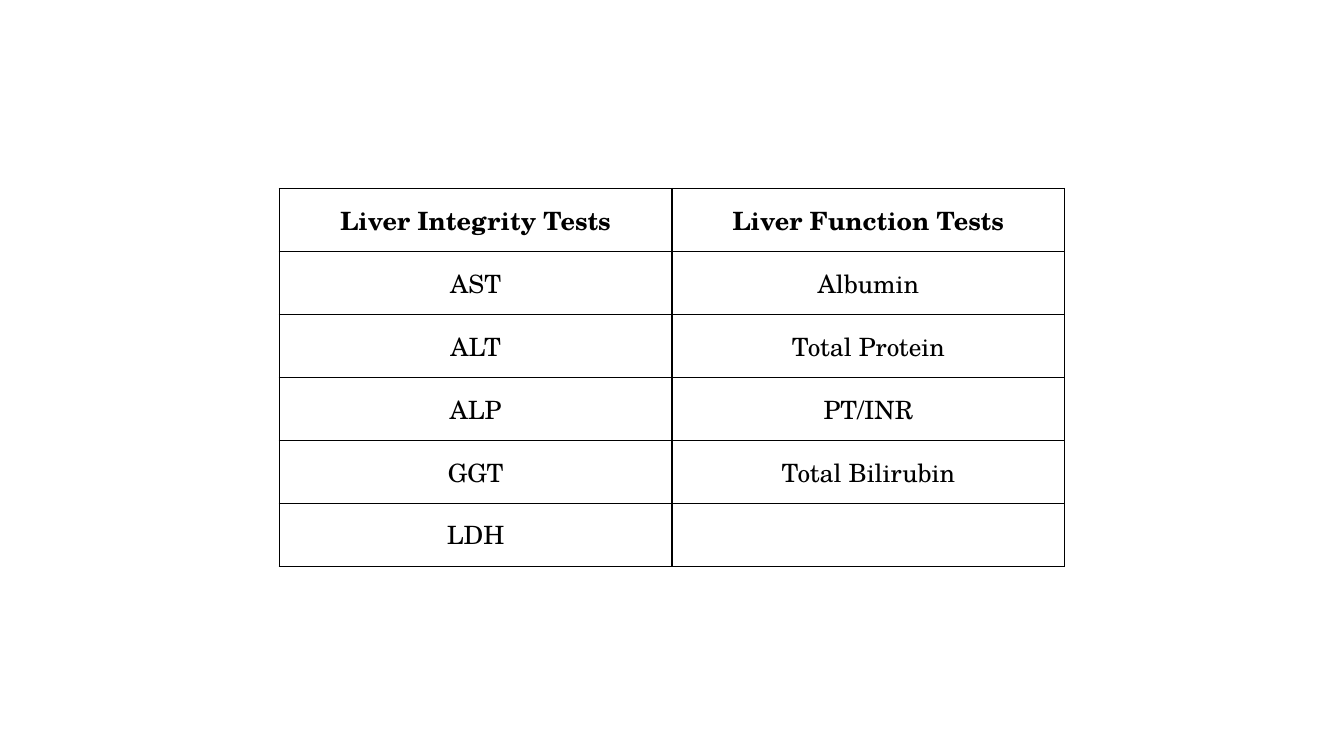
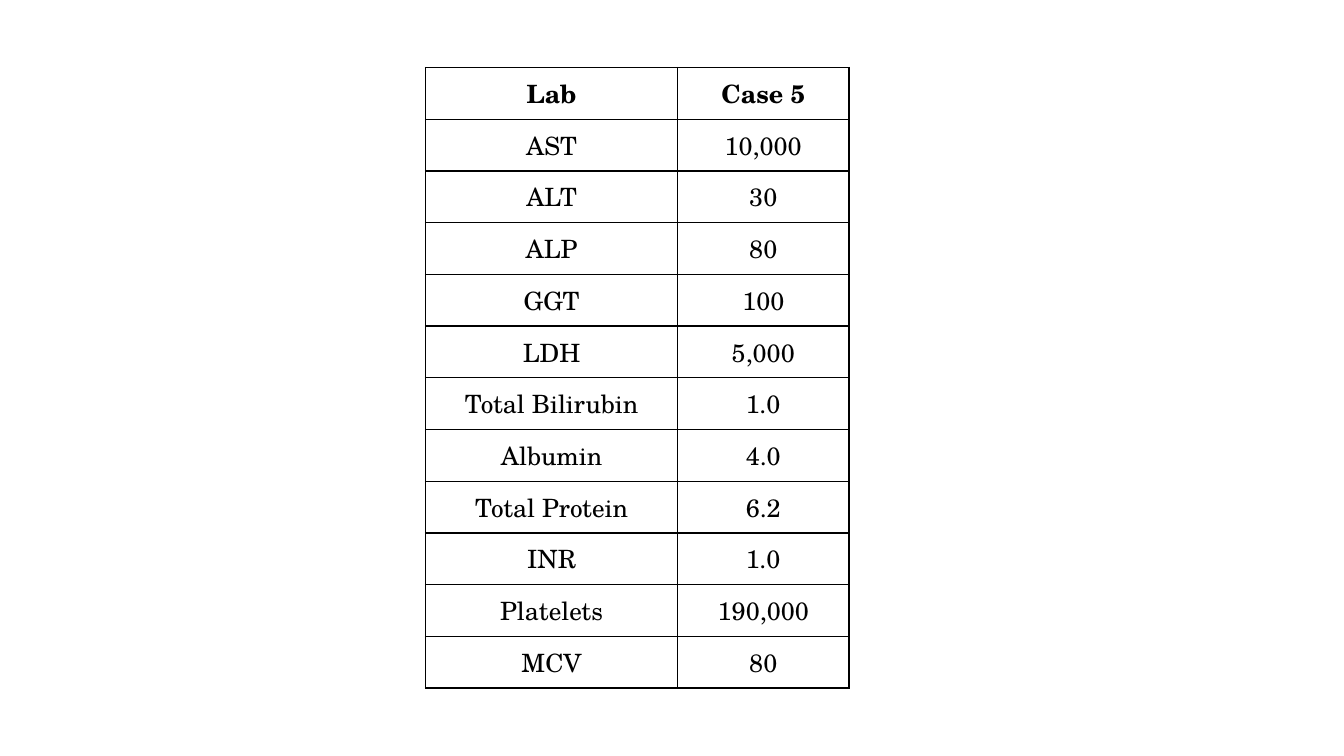
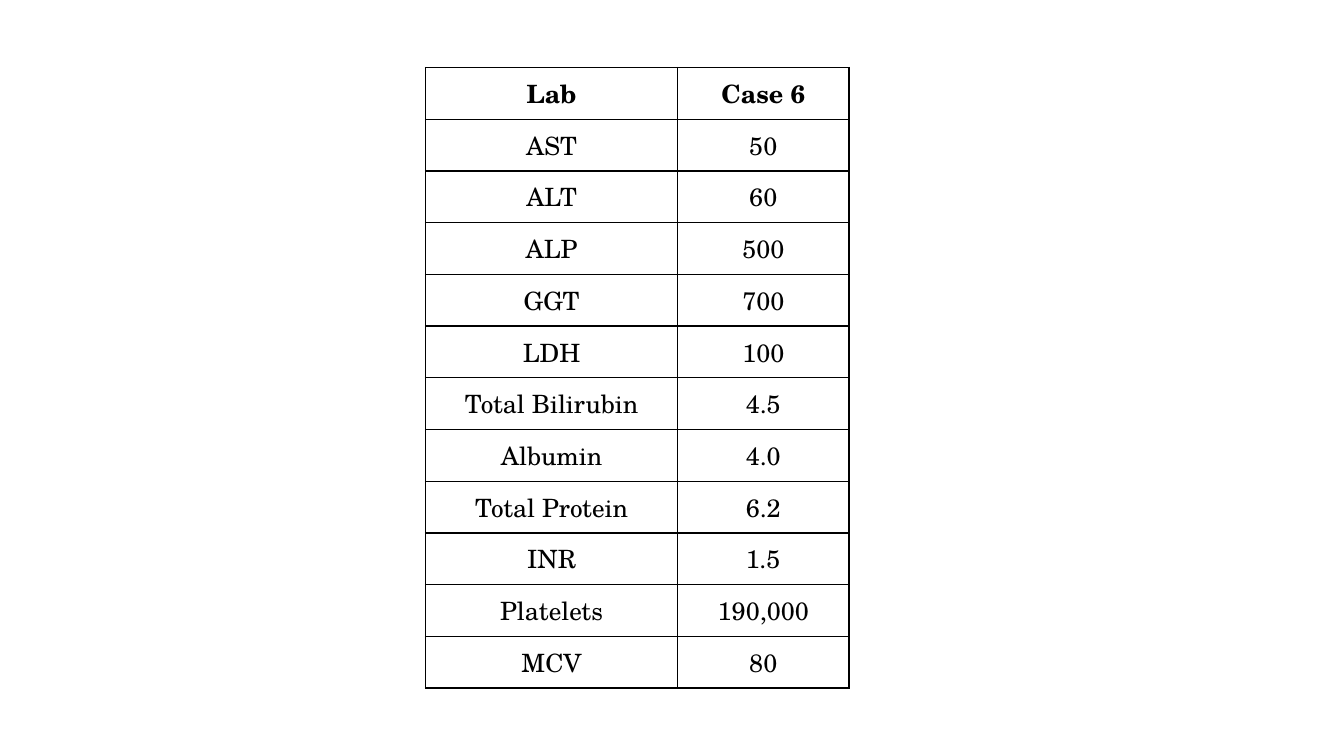
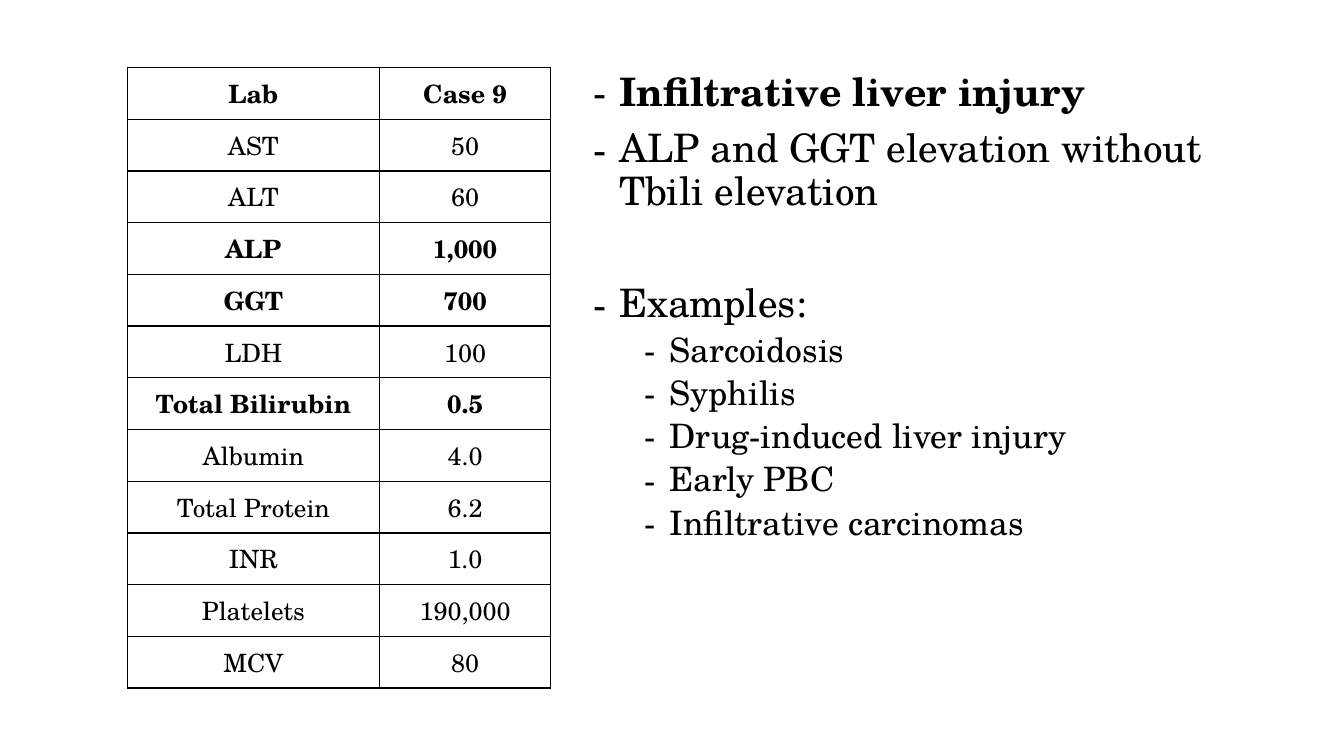
from pptx import Presentation
from pptx.dml.color import RGBColor
from pptx.enum.text import MSO_ANCHOR, MSO_AUTO_SIZE, PP_ALIGN
from pptx.oxml import parse_xml
from pptx.oxml.ns import nsdecls
from pptx.util import Pt

# Shared style
FONT = "TeX Gyre Schola"
INK = "000000"
CONTENT, BLANK = 1, 6
CELL = {"margin_left": Pt(7.2), "margin_right": Pt(7.2), "margin_top": Pt(3.6),
        "margin_bottom": Pt(3.6), "vertical_anchor": MSO_ANCHOR.MIDDLE}

# Lab tables
LABS = ["AST", "ALT", "ALP", "GGT", "LDH", "Total Bilirubin", "Albumin",
        "Total Protein", "INR", "Platelets", "MCV"]
LAB_TOP, LAB_COLS, LAB_ROW = 48.25, (180, 122.4), 36.96

TEST_ROWS = [
    ("Liver Integrity Tests", "Liver Function Tests"),
    ("AST", "Albumin"),
    ("ALT", "Total Protein"),
    ("ALP", "PT/INR"),
    ("GGT", "Total Bilirubin"),
    ("LDH", ""),
]
CASES = {
    "Case 5": ["10,000", "30", "80", "100", "5,000", "1.0", "4.0", "6.2", "1.0", "190,000", "80"],
    "Case 6": ["50", "60", "500", "700", "100", "4.5", "4.0", "6.2", "1.5", "190,000", "80"],
    "Case 9": ["50", "60", "1,000", "700", "100", "0.5", "4.0", "6.2", "1.0", "190,000", "80"],
}

# Notes: text, level, space before, bold
NOTES = [
    ("Infiltrative liver injury", 0, 0, True),
    ("ALP and GGT elevation without Tbili elevation", 0, 10, False),
    ("Examples:", 0, 50, False),
    ("Sarcoidosis", 1, 5, False),
    ("Syphilis", 1, 5, False),
    ("Drug-induced liver injury", 1, 5, False),
    ("Early PBC", 1, 5, False),
    ("Infiltrative carcinomas", 1, 5, False),
]


def color(value):
    return RGBColor.from_string(value)


def set_all(target, values):
    for name, value in values.items():
        setattr(target, name, value)


def set_font(font, size, bold=False):
    set_all(font, {"name": FONT, "size": Pt(size), "bold": bold})
    font.color.rgb = color(INK)


def add_borders(cell):
    tcPr = cell._tc.get_or_add_tcPr()
    for i, side in enumerate(("lnL", "lnR", "lnT", "lnB")):
        tcPr.insert(i, parse_xml(
            f'<a:{side} {nsdecls("a")} w="{Pt(1)}"><a:solidFill>'
            f'<a:srgbClr val="{INK}"/></a:solidFill></a:{side}>'))


def add_grid(s, left, top, cols, row_height, rows, bold_rows=(0,)):
    """Ruled table with centred text."""
    frame = s.shapes.add_table(len(rows), len(cols), Pt(left), Pt(top),
                               Pt(sum(cols)), Pt(row_height * len(rows)))
    table = frame.table
    set_all(table, {"first_row": False, "horz_banding": False})
    for column, width in zip(table.columns, cols):
        column.width = Pt(width)
    for i, row in enumerate(rows):
        table.rows[i].height = Pt(row_height)
        for j, text in enumerate(row):
            cell = table.cell(i, j)
            cell.fill.background()
            add_borders(cell)
            set_all(cell, CELL)
            p = cell.text_frame.paragraphs[0]
            p.alignment = PP_ALIGN.CENTER
            if text:
                r = p.add_run()
                r.text = text
                set_font(r.font, 18, i in bold_rows)


def add_case(s, left, case, bold_labs=()):
    """Lab results of one case."""
    rows = [("Lab", case), *zip(LABS, CASES[case])]
    bold_rows = [0] + [LABS.index(lab) + 1 for lab in bold_labs]
    add_grid(s, left, LAB_TOP, LAB_COLS, LAB_ROW, rows, bold_rows)


def add_notes(s, left, top, width, height):
    """Dashed list in the body placeholder."""
    body = s.placeholders[1]
    set_all(body, {"left": Pt(left), "top": Pt(top), "width": Pt(width), "height": Pt(height)})
    tf = body.text_frame
    set_all(tf, {"word_wrap": True, "auto_size": MSO_AUTO_SIZE.NONE,
                 "vertical_anchor": MSO_ANCHOR.TOP})
    for i, (text, level, before, bold) in enumerate(NOTES):
        p = tf.add_paragraph() if i else tf.paragraphs[0]
        set_all(p, {"level": level, "line_spacing": 0.9, "space_before": Pt(before),
                    "space_after": Pt(0), "alignment": PP_ALIGN.LEFT})
        pPr = p._p.get_or_add_pPr()
        pPr.set("marL", str(Pt(18 + 36 * level)))
        pPr.set("indent", str(Pt(-18)))
        pPr.append(parse_xml(f'<a:buFont {nsdecls("a")} typeface="{FONT}"/>'))
        pPr.append(parse_xml(f'<a:buChar {nsdecls("a")} char="-"/>'))
        r = p.add_run()
        r.text = text
        set_font(r.font, 28 - 4 * level, bold)


def main():
    prs = Presentation()
    set_all(prs, {"slide_width": Pt(960), "slide_height": Pt(540)})

    def new_slide(layout):
        return prs.slides.add_slide(prs.slide_layouts[layout])

    # Kinds of liver tests
    add_grid(new_slide(BLANK), 199.5, 134.65, (280.5, 280.5), 45, TEST_ROWS)

    # Unexplained cases
    for case in ("Case 5", "Case 6"):
        add_case(new_slide(BLANK), 304, case)

    # Explained case
    s = new_slide(CONTENT)
    title = s.shapes.title._element
    title.getparent().remove(title)
    add_case(s, 91, "Case 9", ("ALP", "GGT", "Total Bilirubin"))
    add_notes(s, 417, LAB_TOP, 477.5, 437.75)

    prs.save("out.pptx")


if __name__ == "__main__":
    main()
